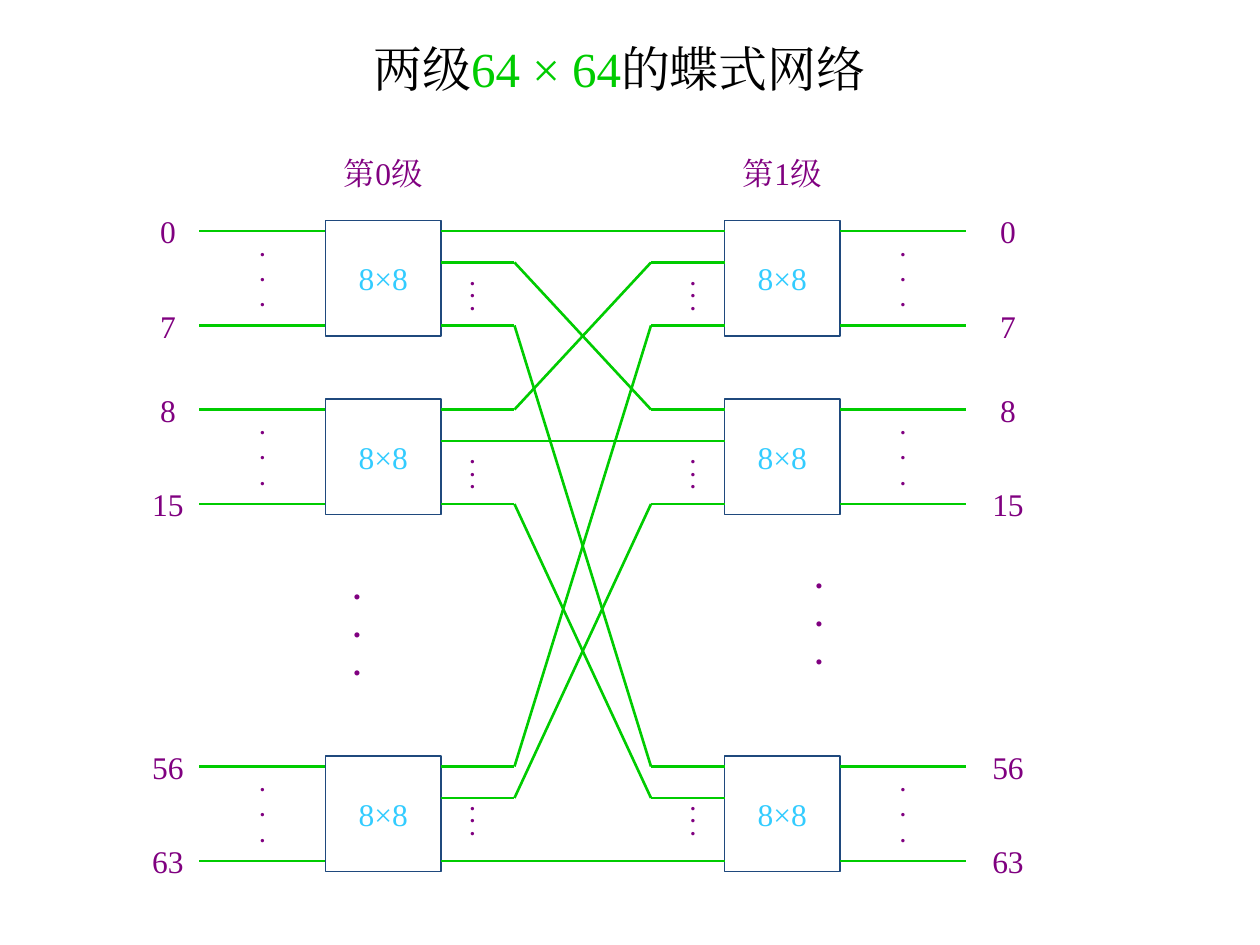
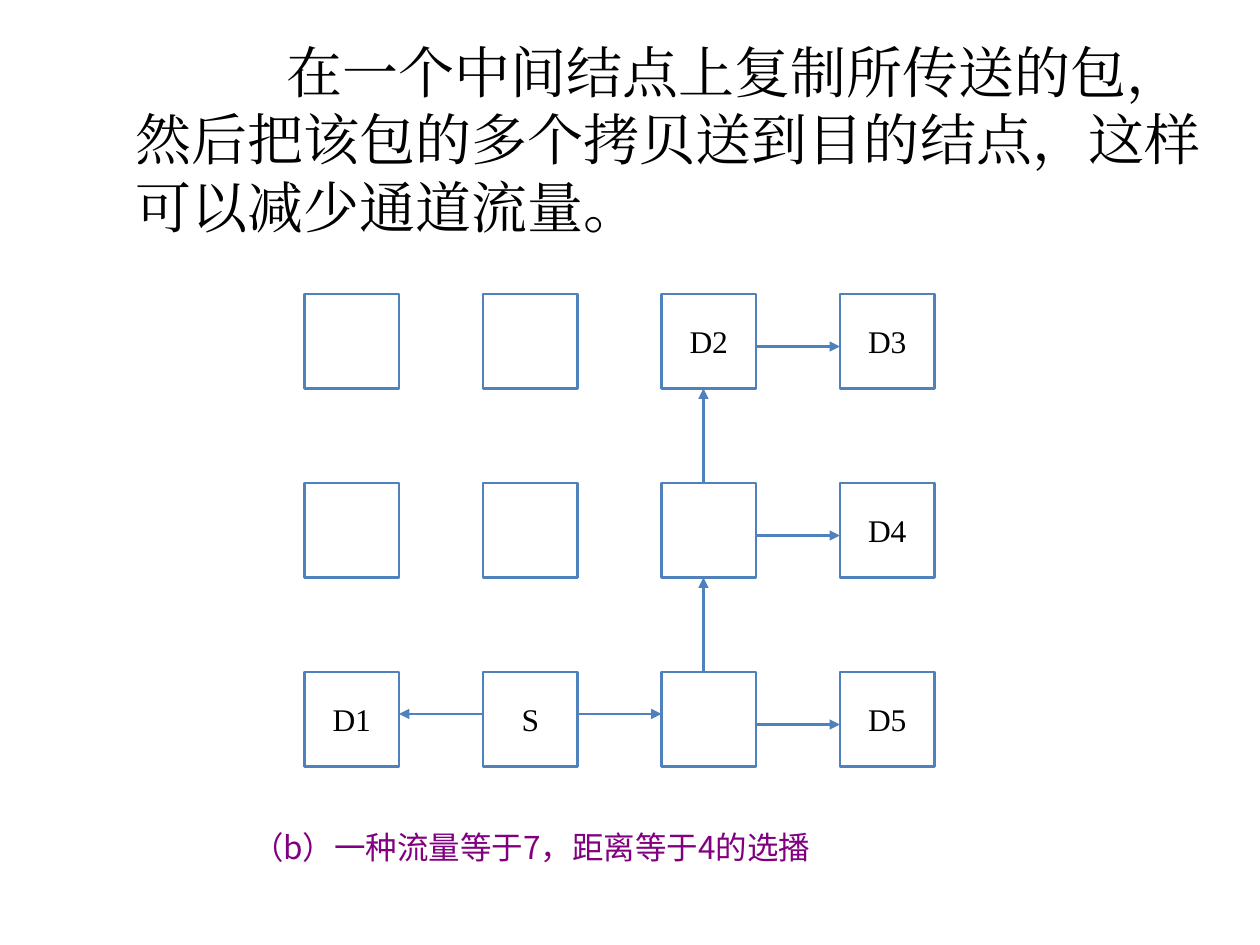
from dataclasses import dataclass
from itertools import product

from lxml import etree
from pptx import Presentation
from pptx.dml import color
from pptx.enum import shapes, text
from pptx.oxml import ns
from pptx.util import Pt

COLORS = {
    "black": "000000",
    "white": "FFFFFF",
    "green": "00CC00",
    "purple": "800080",
    "cyan": "33CCFF",
    "navy": "1F497D",
    "blue": "4F81BD",
}
SERIF = "Times New Roman"
SANS = "Noto Sans CJK SC"


@dataclass(frozen=True)
class Box:
    x: float
    y: float
    w: float
    h: float

    def lengths(self) -> list:
        return [Pt(v) for v in (self.x, self.y, self.w, self.h)]


@dataclass(frozen=True)
class SwitchRow:
    top: float
    first: str
    last: str
    inner_dots: float

    def port(self, i: int) -> float:
        return self.top + PORTS[i]


@dataclass(frozen=True)
class Side:
    switch_x: float
    line_x: float
    label_x: float
    outer_dots_x: float
    inner_dots_x: float
    big_dots: Box
    heading: str


@dataclass(frozen=True)
class Hop:
    start: tuple
    end: tuple
    offset: float


SWITCH = 66
PORTS = (6, 24, 60)
BEND_LEFT, BEND_RIGHT = 294, 372
ROWS = (
    SwitchRow(126, "0", "7", 30),
    SwitchRow(228, "8", "15", 30),
    SwitchRow(432, "56", "63", 24),
)
SIDES = (
    Side(186, 114, 84, 138, 258, Box(192, 324, 24, 66), "第0级"),
    Side(414, 480, 564, 504, 384, Box(456, 318, 24, 66), "第1级"),
)

NODE = 54
NODE_XS = [174 + 102 * c for c in range(4)]
NODE_YS = [168 + 108 * r for r in range(3)]
NODE_NAMES = {(2, 0): "D2", (3, 0): "D3", (3, 1): "D4",
              (0, 2): "D1", (1, 2): "S", (3, 2): "D5"}
HOPS = (
    Hop((1, 2), (0, 2), 24),
    Hop((1, 2), (2, 2), 24),
    Hop((2, 2), (2, 1), 24),
    Hop((2, 1), (2, 0), 24),
    Hop((2, 0), (3, 0), 30),
    Hop((2, 1), (3, 1), 30),
    Hop((2, 2), (3, 2), 30),
)


def rgb(name: str) -> color.RGBColor:
    return color.RGBColor.from_string(COLORS[name])


def write(tf, content, *, size=18, font=SERIF, fill="purple", bold=False,
          align=text.PP_ALIGN.CENTER, anchor=text.MSO_ANCHOR.MIDDLE,
          wrap=False, margin=None, spacing=None, left=0, indent=0) -> None:
    tf.word_wrap = wrap
    tf.vertical_anchor = anchor
    if margin is not None:
        tf.margin_left = tf.margin_right = Pt(margin)
        tf.margin_top = tf.margin_bottom = Pt(margin)
    lines = content.split("\n") if isinstance(content, str) else [content]
    for i, line in enumerate(lines):
        p = tf.add_paragraph() if i else tf.paragraphs[0]
        p.alignment = align
        if spacing:
            p.line_spacing = spacing
        if left or indent:
            pPr = p._p.get_or_add_pPr()
            pPr.set("marL", str(Pt(left)))
            pPr.set("indent", str(Pt(indent)))
        for words, tint in [(line, fill)] if isinstance(line, str) else line:
            r = p.add_run()
            r.text = words
            r.font.size = Pt(size)
            r.font.bold = bold
            r.font.name = font
            r.font.color.rgb = rgb(tint)
            ea = etree.SubElement(r._r.get_or_add_rPr(), ns.qn("a:ea"))
            ea.set("typeface", font)


def label(s, box: Box, content, **style) -> None:
    write(s.shapes.add_textbox(*box.lengths()).text_frame, content, **style)


def dots(s, box: Box, size: float = 12, spacing=None) -> None:
    label(s, box, ".\n.\n.", size=size, bold=True, margin=0, spacing=spacing)


def square(s, x: float, y: float, size: float, line: str, width: float,
           content: str = "", fill=None, tint: str = "black") -> None:
    sp = s.shapes.add_shape(shapes.MSO_SHAPE.RECTANGLE,
                            *Box(x, y, size, size).lengths())
    sp.shadow.inherit = False
    if fill:
        sp.fill.solid()
        sp.fill.fore_color.rgb = rgb(fill)
    else:
        sp.fill.background()
    sp.line.color.rgb = rgb(line)
    sp.line.width = Pt(width)
    if content:
        write(sp.text_frame, content, fill=tint)


def connect(s, x1: float, y1: float, x2: float, y2: float,
            tint: str = "green", arrow: bool = False) -> None:
    cx = s.shapes.add_connector(shapes.MSO_CONNECTOR.STRAIGHT,
                                Pt(x1), Pt(y1), Pt(x2), Pt(y2))
    cx.line.color.rgb = rgb(tint)
    cx.line.width = Pt(1.5)
    spPr = cx.element.spPr
    if arrow:
        tail = etree.SubElement(spPr.find(ns.qn("a:ln")), ns.qn("a:tailEnd"))
        tail.set("type", "triangle")
    etree.SubElement(spPr, ns.qn("a:effectLst"))


def draw_side(s, side: Side) -> None:
    label(s, Box(side.switch_x, 78, SWITCH, 42), side.heading)
    dots(s, side.big_dots, size=18)
    for row in ROWS:
        square(s, side.switch_x, row.top, SWITCH, "navy", 0.75, "8×8", tint="cyan")
        for name, y in ((row.first, row.port(0)), (row.last, row.port(2))):
            connect(s, side.line_x, y, side.line_x + 72, y)
            label(s, Box(side.label_x, y - 12, 24, 24), name, margin=0)
        dots(s, Box(side.outer_dots_x, row.top + 18, 24, 24))
        dots(s, Box(side.inner_dots_x, row.top + row.inner_dots, 24, 24), spacing=0.5)


def draw_links(s) -> None:
    start, end = SIDES[0].switch_x + SWITCH, SIDES[1].switch_x
    for i, j in product(range(3), repeat=2):
        y1, y2 = ROWS[i].port(j), ROWS[j].port(i)
        if i == j:
            connect(s, start, y1, end, y1)
        else:
            connect(s, start, y1, BEND_LEFT, y1)
            connect(s, BEND_LEFT, y1, BEND_RIGHT, y2)
            connect(s, BEND_RIGHT, y2, end, y2)


def butterfly_slide(s) -> None:
    label(s, Box(180, 18, 348, 42),
          [("两级", "black"), ("64 × 64", "green"), ("的蝶式网络", "black")], size=28)
    for side in SIDES:
        draw_side(s, side)
    draw_links(s)


def draw_hop(s, hop: Hop) -> None:
    (c1, r1), (c2, r2) = hop.start, hop.end
    x1, y1, x2, y2 = NODE_XS[c1], NODE_YS[r1], NODE_XS[c2], NODE_YS[r2]
    if r1 == r2:
        y1 = y2 = y1 + hop.offset
        x1, x2 = (x1 + NODE, x2) if c2 > c1 else (x1, x2 + NODE)
    else:
        x1 = x2 = x1 + hop.offset
        y2 += NODE
    connect(s, x1, y1, x2, y2, "blue", arrow=True)


def multicast_slide(s) -> None:
    plain = dict(align=text.PP_ALIGN.LEFT, anchor=text.MSO_ANCHOR.TOP, wrap=True)
    label(s, Box(12, 18, 690, 132),
          "在一个中间结点上复制所传送的包，然后把该包的多个拷贝送到目的结点，"
          "这样可以减少通道流量。",
          size=32, fill="black", left=58.5, indent=86, **plain)
    for (r, y), (c, x) in product(enumerate(NODE_YS), enumerate(NODE_XS)):
        square(s, x, y, NODE, "blue", 1.5, NODE_NAMES.get((c, r), ""), fill="white")
    for hop in HOPS:
        draw_hop(s, hop)
    label(s, Box(144, 473, 456, 29), "（b）一种流量等于7，距离等于4的选播",
          font=SANS, margin=0, **plain)


def main() -> None:
    prs = Presentation()
    prs.slide_width, prs.slide_height = Pt(720), Pt(540)
    for draw in (butterfly_slide, multicast_slide):
        draw(prs.slides.add_slide(prs.slide_layouts[6]))
    prs.save("out.pptx")


if __name__ == "__main__":
    main()
